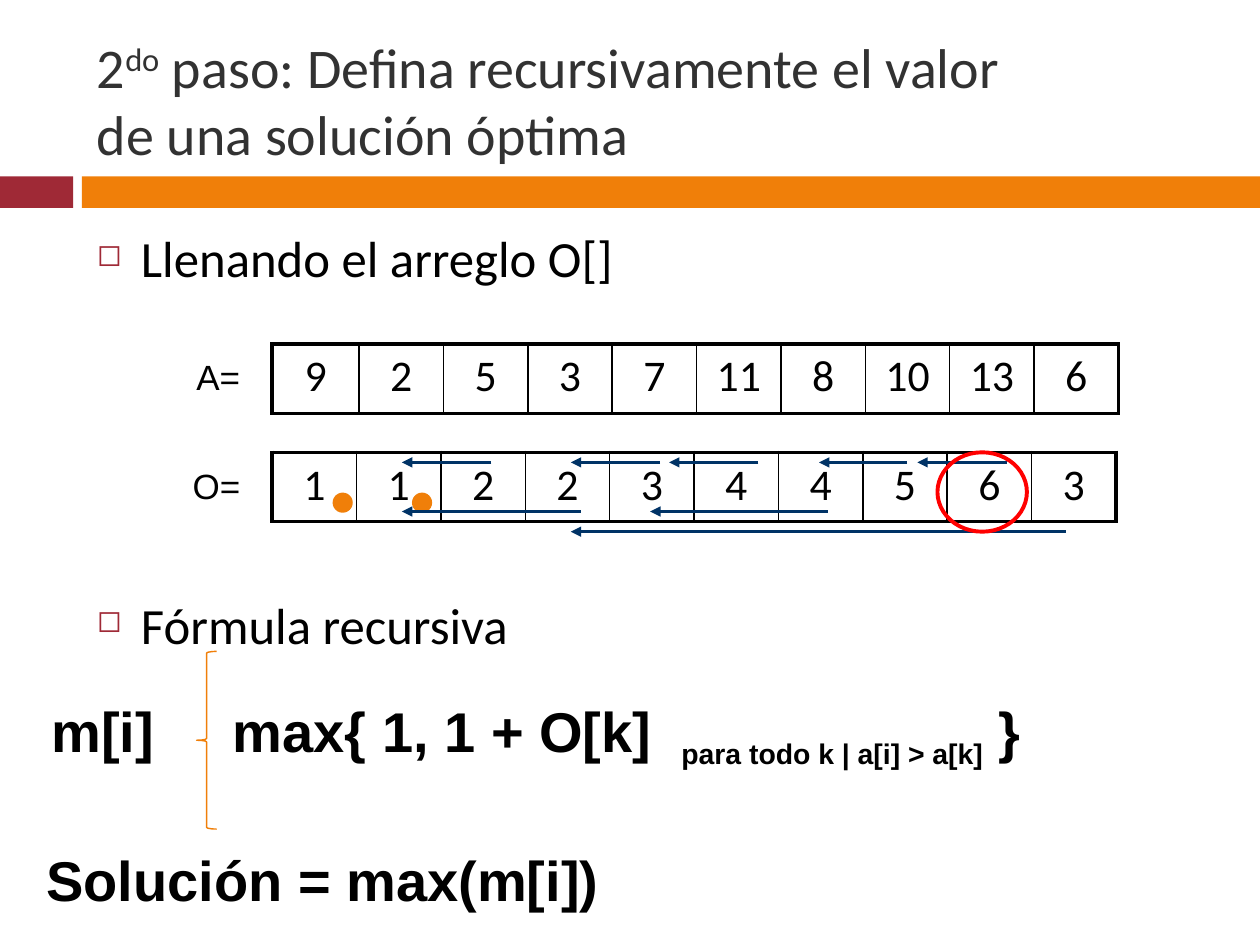
from typing import NamedTuple

from lxml import etree
from pptx import Presentation
from pptx.dml.color import RGBColor
from pptx.enum.shapes import MSO_CONNECTOR, MSO_SHAPE
from pptx.enum.text import MSO_ANCHOR, PP_ALIGN
from pptx.oxml.ns import qn
from pptx.util import Inches, Pt

RECT, OVAL, BRACE = MSO_SHAPE.RECTANGLE, MSO_SHAPE.OVAL, MSO_SHAPE.LEFT_BRACE
LINE = MSO_CONNECTOR.STRAIGHT
CENTER, TOP, MIDDLE = PP_ALIGN.CENTER, MSO_ANCHOR.TOP, MSO_ANCHOR.MIDDLE

BLACK = RGBColor(0x00, 0x00, 0x00)
GRAY = RGBColor(0x32, 0x32, 0x32)
WINE = RGBColor(0x9F, 0x29, 0x36)
ORANGE = RGBColor(0xF0, 0x7F, 0x09)
NAVY = RGBColor(0x00, 0x33, 0x66)
RED = RGBColor(0xFF, 0x00, 0x00)

TITLE = {"name": "Calibri", "size": Pt(32)}
BODY = {"name": "Calibri", "size": Pt(29)}
CELL = {"name": "Calibri", "size": Pt(25)}
LABEL = {"name": "Arial", "size": Pt(20)}
MATH = {"name": "Arial", "size": Pt(32), "bold": True}
SMALL = {**MATH, "size": Pt(28)}


class Box(NamedTuple):
    x: float
    y: float
    w: float
    h: float

    def dims(self) -> list:
        return [Inches(v) for v in self]


class Piece(NamedTuple):
    text: str
    style: dict
    base: int = 0


class Note(NamedTuple):
    box: Box
    pieces: list
    color: RGBColor = BLACK
    anchor: int = TOP
    bullet: bool = False


class Figure(NamedTuple):
    kind: int
    box: Box
    fill: RGBColor = None
    line: RGBColor = None
    width: float = 0


class Row(NamedTuple):
    x: float
    y: float
    first: float
    values: list


class Arrow(NamedTuple):
    start: float
    end: float
    y: float


def add_piece(par, piece: Piece, color: RGBColor) -> None:
    run = par.add_run()
    run.text = piece.text
    for key, value in piece.style.items():
        setattr(run.font, key, value)
    run.font.color.rgb = color
    if piece.base:
        run._r.get_or_add_rPr().set("baseline", str(piece.base * 1000))


def add_bullet(par) -> None:
    props = par._p.get_or_add_pPr()
    props.set("marL", str(Inches(0.35)))
    props.set("indent", str(-Inches(0.35)))
    tint = etree.SubElement(props, qn("a:buClr"))
    etree.SubElement(tint, qn("a:srgbClr")).set("val", str(WINE))
    etree.SubElement(props, qn("a:buSzPct")).set("val", "60000")
    etree.SubElement(props, qn("a:buChar")).set("char", "◻")


def add_note(slide, note: Note) -> None:
    frame = slide.shapes.add_textbox(*note.box.dims()).text_frame
    frame.word_wrap = True
    frame.vertical_anchor = note.anchor
    par = frame.paragraphs[0]
    if note.bullet:
        add_bullet(par)
    for piece in note.pieces:
        if piece is None:
            par.add_line_break()
        else:
            add_piece(par, piece, note.color)


def add_figure(slide, fig: Figure) -> None:
    shape = slide.shapes.add_shape(fig.kind, *fig.box.dims())
    shape.shadow.inherit = False
    if fig.fill is None:
        shape.fill.background()
    else:
        shape.fill.solid()
        shape.fill.fore_color.rgb = fig.fill
    if fig.line is None:
        shape.line.fill.background()
    else:
        shape.line.color.rgb = fig.line
        shape.line.width = Pt(fig.width)


def add_border(cell, side: str, width: float) -> None:
    edge = etree.SubElement(cell._tc.get_or_add_tcPr(), qn(f"a:{side}"))
    edge.set("w", str(Pt(width)))
    fill = etree.SubElement(edge, qn("a:solidFill"))
    etree.SubElement(fill, qn("a:srgbClr")).set("val", str(BLACK))


def add_row(slide, row: Row) -> None:
    count = len(row.values)
    widths = [row.first] + [0.67] * (count - 1)
    box = Box(row.x, row.y, sum(widths), 0.55)
    table = slide.shapes.add_table(1, count, *box.dims()).table
    table.first_row = table.horz_banding = False
    for i, (value, width) in enumerate(zip(row.values, widths)):
        table.columns[i].width = Inches(width)
        cell = table.cell(0, i)
        par = cell.text_frame.paragraphs[0]
        par.alignment = CENTER
        add_piece(par, Piece(str(value), CELL), BLACK)
        # Thick outer edges, thin inner ones; borders come before the fill
        add_border(cell, "lnL", 2.25 if i == 0 else 1)
        add_border(cell, "lnR", 2.25 if i == count - 1 else 1)
        add_border(cell, "lnT", 2.25)
        add_border(cell, "lnB", 2.25)
        cell.fill.background()


def add_arrow(slide, arrow: Arrow) -> None:
    ends = Box(arrow.start, arrow.y, arrow.end, arrow.y)
    link = slide.shapes.add_connector(LINE, *ends.dims())
    link.line.color.rgb = NAVY
    link.line.width = Pt(1.75)
    props = link._element.spPr
    tail = etree.SubElement(props.find(qn("a:ln")), qn("a:tailEnd"))
    tail.set("type", "triangle")
    etree.SubElement(props, qn("a:effectLst"))


BARS = [Figure(RECT, Box(0, 1.4, 0.58, 0.25), WINE),
        Figure(RECT, Box(0.65, 1.4, 9.35, 0.25), ORANGE)]
ROWS = [Row(2.16, 2.73, 0.69, [9, 2, 5, 3, 7, 11, 8, 10, 13, 6]),
        Row(2.16, 3.59, 0.67, [1, 1, 2, 2, 3, 4, 4, 5, 6, 3])]
DOTS = [Figure(OVAL, Box(x, 3.91, 0.16, 0.16), ORANGE) for x in (2.64, 3.27)]
HIGH, LOW, UNDER = 3.67, 4.06, 4.22
ARROWS = [Arrow(3.9, 3.19, HIGH), Arrow(4.61, 3.19, LOW),
          Arrow(5.24, 4.53, HIGH), Arrow(6.02, 5.31, HIGH),
          Arrow(6.57, 5.16, LOW), Arrow(7.2, 6.5, HIGH),
          Arrow(7.99, 7.28, HIGH), Arrow(8.46, 4.53, UNDER)]
MARKS = [Figure(BRACE, Box(1.56, 5.17, 0.16, 1.41), None, ORANGE, 0.79),
         Figure(OVAL, Box(7.44, 3.59, 0.71, 0.63), None, RED, 2.25)]
NOTES = [
    Note(Box(0.67, 0.25, 8.92, 1.08),
         [Piece("2", TITLE), Piece("do", TITLE, 30),
          Piece(" paso: Defina recursivamente el valor", TITLE), None,
          Piece("de una solución óptima", TITLE)], GRAY, MIDDLE),
    Note(Box(0.67, 1.75, 8.92, 0.6),
         [Piece("Llenando el arreglo O[]", BODY)], bullet=True),
    Note(Box(0.67, 4.66, 8.92, 0.6),
         [Piece("Fórmula recursiva", BODY)], bullet=True),
    Note(Box(1.46, 2.77, 0.65, 0.43), [Piece("A=", LABEL)]),
    Note(Box(1.43, 3.64, 0.68, 0.43), [Piece("O=", LABEL)]),
    Note(Box(0.31, 5.48, 1.24, 0.63), [Piece("m[i]", MATH)]),
    Note(Box(1.75, 5.48, 3.6, 0.63), [Piece("max{ 1, 1 + O[k]", MATH)]),
    Note(Box(5.31, 5.48, 3.6, 0.63),
         [Piece("para todo k | a[i] > a[k]", SMALL, -25), Piece(" }", MATH)]),
    Note(Box(0.27, 6.66, 5.2, 0.63), [Piece("Solución = max(m[i])", MATH)]),
]


def main() -> None:
    deck = Presentation()
    deck.slide_width, deck.slide_height = Inches(10), Inches(7.5)
    slide = deck.slides.add_slide(deck.slide_layouts[6])
    # Back to front: bars, texts, arrays, links, marks
    for draw, items in ((add_figure, BARS), (add_note, NOTES),
                        (add_row, ROWS), (add_figure, DOTS),
                        (add_arrow, ARROWS), (add_figure, MARKS)):
        for item in items:
            draw(slide, item)
    deck.save("out.pptx")


if __name__ == "__main__":
    main()
